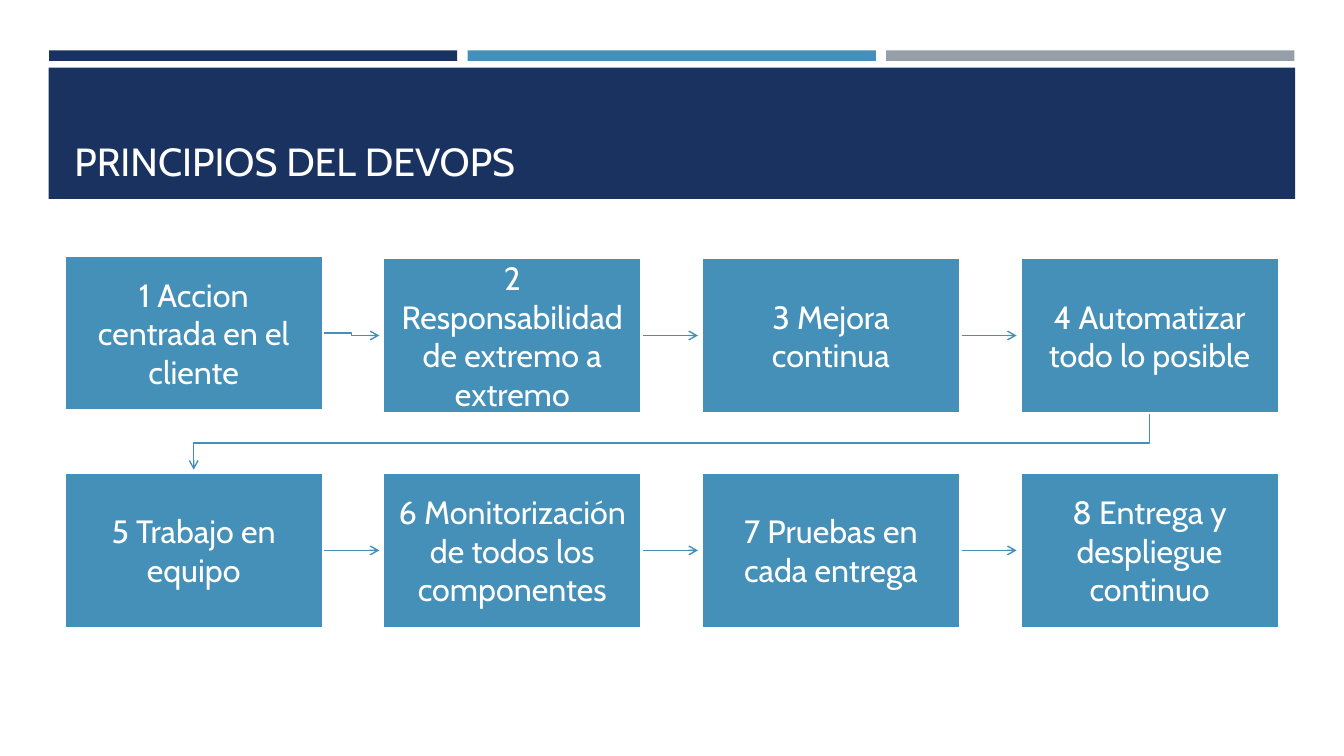
from pptx import Presentation
from pptx.dml.color import RGBColor
from pptx.enum.shapes import MSO_CONNECTOR, MSO_SHAPE
from pptx.enum.text import MSO_ANCHOR, MSO_AUTO_SIZE, PP_ALIGN
from pptx.oxml.xmlchemy import OxmlElement
from pptx.util import Pt

NAVY = RGBColor(0x1A, 0x32, 0x60)
BLUE = RGBColor(0x45, 0x90, 0xB8)
GRAY = RGBColor(0x96, 0x9F, 0xA7)
WHITE = RGBColor(0xFF, 0xFF, 0xFF)
FONT = "Cabin"

PRINCIPLES = [
    "1 Accion centrada en el cliente",
    "2 Responsabilidad de extremo a extremo",
    "3 Mejora continua",
    "4 Automatizar todo lo posible",
    "5 Trabajo en equipo",
    "6 Monitorización de todos los componentes",
    "7 Pruebas en cada entrega",
    "8 Entrega y despliegue continuo",
]
COLUMNS = 4
BOX_LEFT, BOX_WIDTH, BOX_HEIGHT = 46, 184.8, 110.9
COLUMN_STEP = 227.6
ROW_TOPS = [184.2, 337.7]
FIRST_TOP = 182.4
ARROW_LENGTH = 40.2


def add_block(left, top, width, height, color):
    block = slide.shapes.add_shape(
        MSO_SHAPE.RECTANGLE, Pt(left), Pt(top), Pt(width), Pt(height))
    block.shadow.inherit = False
    block.fill.solid()
    block.fill.fore_color.rgb = color
    block.line.fill.background()
    return block


def style_arrow(arrow):
    """Give a connector or open outline a thin blue line with an open head."""
    arrow.line.color.rgb = BLUE
    arrow.line.width = Pt(1)
    head = OxmlElement("a:tailEnd")
    head.set("type", "arrow")
    arrow.line.fill  # the line element exists from here on
    arrow.element.spPr.ln.append(head)
    arrow.element.spPr.append(OxmlElement("a:effectLst"))


presentation = Presentation()
presentation.slide_width, presentation.slide_height = Pt(960), Pt(540)
slide = presentation.slides.add_slide(presentation.slide_layouts[5])

# Header: three strips above the title band
for index, color in enumerate([NAVY, BLUE, GRAY]):
    add_block(35 + index * 299, 36, 291.6, 7.5, color)
add_block(34.8, 48.3, 890.4, 93.8, NAVY)

title = slide.shapes.title
slide.shapes.element.append(title.element)  # bring in front of the band
title.left, title.top, title.width, title.height = Pt(46), Pt(55.5), Pt(868), Pt(80)
title.text_frame.text = "PRINCIPIOS DEL DEVOPS"
title.text_frame.auto_size = MSO_AUTO_SIZE.NONE
title.text_frame.vertical_anchor = MSO_ANCHOR.BOTTOM
heading = title.text_frame.paragraphs[0]
heading.alignment = PP_ALIGN.LEFT
heading.font.name, heading.font.size = FONT, Pt(28)
heading.font.color.rgb = WHITE

# Arrows go behind the boxes, whose white borders trim their starts
for row, row_top in enumerate(ROW_TOPS):
    middle = row_top + BOX_HEIGHT / 2
    for column in range(COLUMNS - 1):
        is_first = row == 0 and column == 0
        start = BOX_LEFT + column * COLUMN_STEP + BOX_WIDTH
        start_y = FIRST_TOP + BOX_HEIGHT / 2 if is_first else middle
        kind = MSO_CONNECTOR.ELBOW if is_first else MSO_CONNECTOR.STRAIGHT
        style_arrow(slide.shapes.add_connector(
            kind, Pt(start), Pt(start_y), Pt(start + ARROW_LENGTH), Pt(middle)))

# Return arrow from the end of the first row to the start of the second
first_center = BOX_LEFT + BOX_WIDTH / 2
last_center = first_center + (COLUMNS - 1) * COLUMN_STEP
row_end = ROW_TOPS[0] + BOX_HEIGHT
turn = (row_end + ROW_TOPS[1]) / 2
outline = slide.shapes.build_freeform(Pt(last_center), Pt(row_end))
outline.add_line_segments(
    [(Pt(last_center), Pt(turn)), (Pt(first_center), Pt(turn)),
     (Pt(first_center), Pt(ROW_TOPS[1] - 2.2))], close=False)
return_arrow = outline.convert_to_shape()
return_arrow.fill.background()
style_arrow(return_arrow)

for index, principle in enumerate(PRINCIPLES):
    row, column = divmod(index, COLUMNS)
    top = FIRST_TOP if index == 0 else ROW_TOPS[row]
    box = add_block(BOX_LEFT + column * COLUMN_STEP, top, BOX_WIDTH, BOX_HEIGHT, BLUE)
    box.line.color.rgb = WHITE
    box.line.width = Pt(2)
    frame = box.text_frame
    frame.text = principle
    frame.word_wrap = True
    frame.vertical_anchor = MSO_ANCHOR.MIDDLE
    frame.margin_left = frame.margin_right = Pt(9.2)
    frame.margin_top = frame.margin_bottom = Pt(9.2)
    label = frame.paragraphs[0]
    label.alignment = PP_ALIGN.CENTER
    label.font.name, label.font.size = FONT, Pt(23)
    label.font.color.rgb = WHITE

presentation.save("out.pptx")
